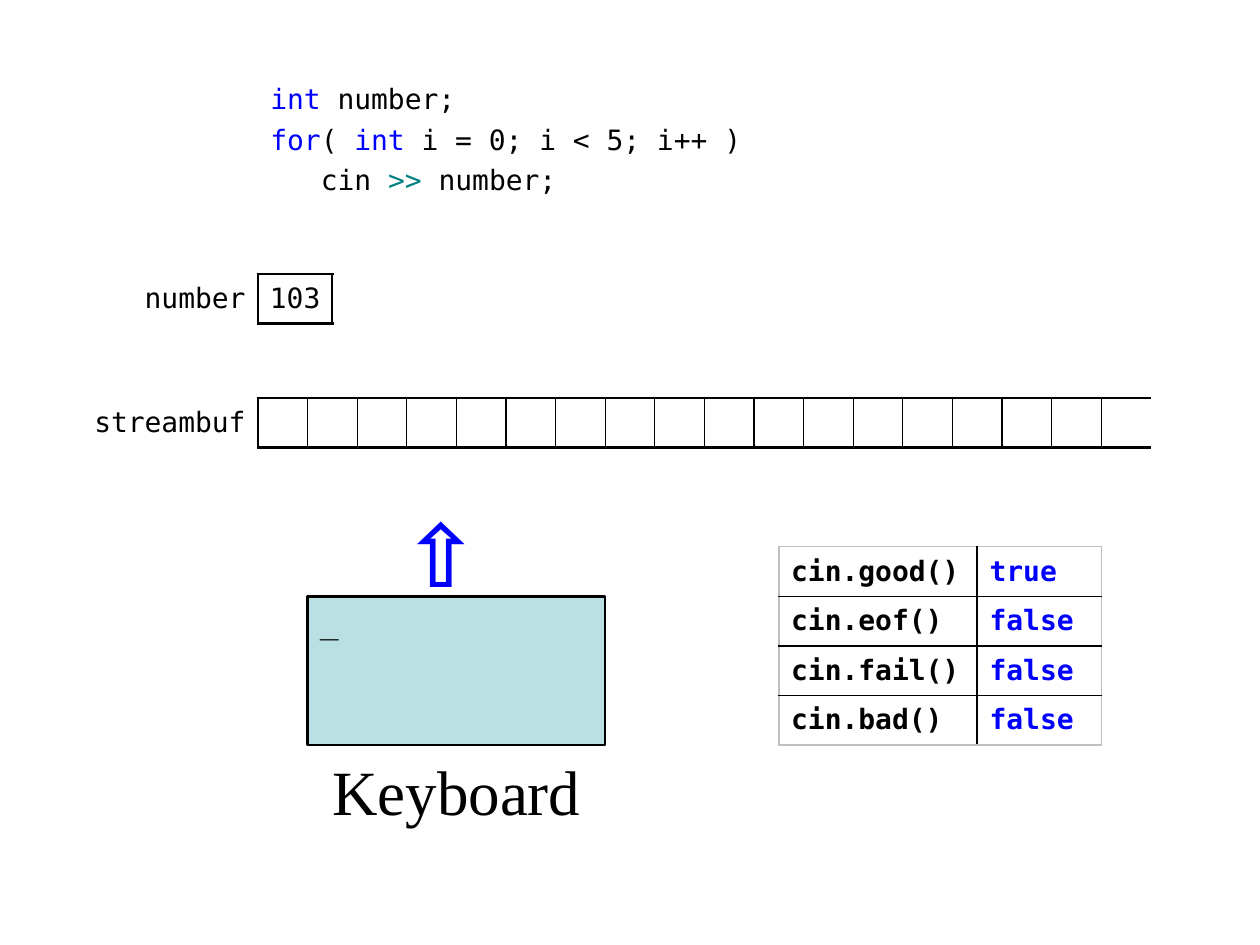
import pptx
import pptx.dml.color
import pptx.enum.shapes
import pptx.enum.text
import pptx.oxml
import pptx.oxml.ns
import pptx.util

Cm = pptx.util.Cm
Pt = pptx.util.Pt
ALIGN = pptx.enum.text.PP_ALIGN
COLORS = {
    "text": "000000",
    "keyword": "0000FF",
    "operator": "008080",
    "screen": "BBE0E3",
    "frame": "BFBFBF",
}
MONO = "DejaVu Sans Mono"
SIDES = ("L", "R", "T", "B")
UNIT = 1
BUFFER_CELLS = 18
CODE = [
    (0, [("int", "keyword"), (" number;", "text")]),
    (0, [("for", "keyword"), ("( ", "text"), ("int", "keyword"),
         (" i = 0; i < 5; i++ )", "text")]),
    (1.02, [("cin ", "text"), (">>", "operator"), (" number;", "text")]),
]
STATES = [
    ("cin.good()", "true"),
    ("cin.eof()", "false"),
    ("cin.fail()", "false"),
    ("cin.bad()", "false"),
]


def rgb(color):
    return pptx.dml.color.RGBColor.from_string(COLORS[color])


def add_run(paragraph, text, color="text", size=16, font=MONO, bold=False):
    run = paragraph.add_run()
    run.text = text
    run.font.name = font
    run.font.size = Pt(size)
    run.font.bold = bold
    run.font.color.rgb = rgb(color)


def set_margins(target, left, top, right, bottom):
    target.margin_left, target.margin_top = Cm(left), Cm(top)
    target.margin_right, target.margin_bottom = Cm(right), Cm(bottom)


def add_text_box(slide, left, top, width, height):
    frame = slide.shapes.add_textbox(Cm(left), Cm(top), Cm(width), Cm(height)).text_frame
    frame.word_wrap = True
    return frame


def add_code(slide):
    frame = add_text_box(slide, 5.2, 1.52, 10, 2.5)
    for index, (indent, runs) in enumerate(CODE):
        paragraph = frame.paragraphs[0] if index == 0 else frame.add_paragraph()
        paragraph.space_before = Pt(4)
        paragraph._p.get_or_add_pPr().set("marL", str(Cm(indent)))
        for text, color in runs:
            add_run(paragraph, text, color)


def add_plain_table(slide, left, top, widths, rows):
    shape = slide.shapes.add_table(
        rows, len(widths), Cm(left), Cm(top), Cm(sum(widths)), Cm(rows * UNIT))
    table = shape.table
    table.first_row = False
    table.horz_banding = False
    for column, width in zip(table.columns, widths):
        column.width = Cm(width)
    for row in table.rows:
        row.height = Cm(UNIT)
    return table


def set_borders(cell, borders):
    properties = cell._tc.get_or_add_tcPr()
    for position, side in enumerate(SIDES):
        width, color = borders.get(side, (0, None))
        paint = (f'<a:solidFill><a:srgbClr val="{COLORS[color]}"/></a:solidFill>'
                 if color else "<a:noFill/>")
        line = pptx.oxml.parse_xml(
            f'<a:ln{side} {pptx.oxml.ns.nsdecls("a")} w="{Pt(width)}">{paint}</a:ln{side}>')
        properties.insert(position, line)


def fill_cell(cell, text, borders, color="text", align=ALIGN.LEFT,
              margins=(0, 0, 0, 0), bold=False):
    cell.fill.background()
    cell.vertical_anchor = pptx.enum.text.MSO_ANCHOR.MIDDLE
    set_margins(cell, *margins)
    set_borders(cell, borders)
    if text:
        paragraph = cell.text_frame.paragraphs[0]
        paragraph.alignment = align
        add_run(paragraph, text, color, bold=bold)


def add_labelled_row(slide, left, top, label, label_width, cell_widths, texts, closed):
    table = add_plain_table(slide, left, top, [label_width] + cell_widths, 1)
    thick, thin = (1.5, "text"), (0.75, "text")
    fill_cell(table.cell(0, 0), label, {"R": thick}, align=ALIGN.RIGHT,
              margins=(0, 0, 0.25, 0))
    last = len(texts)
    for column, text in enumerate(texts, start=1):
        borders = {"T": thick, "B": thick, "L": thick if column == 1 else thin}
        if column < last:
            borders["R"] = thin
        elif closed:
            borders["R"] = thick
        fill_cell(table.cell(0, column), text, borders, align=ALIGN.CENTER)


def add_states(slide):
    table = add_plain_table(slide, 15.7, 11.02, [4, 2.5], len(STATES))
    inner, outer = (1, "text"), (1, "frame")
    for row, state in enumerate(STATES):
        for column, text in enumerate(state):
            borders = {
                "L": inner if column else outer,
                "R": outer if column else inner,
                "T": inner if row else outer,
                "B": inner if row < len(STATES) - 1 else outer,
            }
            fill_cell(table.cell(row, column), text, borders,
                      "keyword" if column else "text",
                      margins=(0.25, 0.1, 0.25, 0.1), bold=True)


def add_keyboard(slide):
    screen = slide.shapes.add_shape(
        pptx.enum.shapes.MSO_SHAPE.RECTANGLE, Cm(6.2), Cm(12.02), Cm(6), Cm(3))
    screen.shadow.inherit = False
    screen.fill.solid()
    screen.fill.fore_color.rgb = rgb("screen")
    screen.line.color.rgb = rgb("text")
    screen.line.width = Pt(1.5)
    frame = screen.text_frame
    frame.vertical_anchor = pptx.enum.text.MSO_ANCHOR.TOP
    frame.paragraphs[0].alignment = ALIGN.LEFT
    add_run(frame.paragraphs[0], "_", size=18)

    arrow = add_text_box(slide, 8.2, 9.52, 2, 2.5)
    set_margins(arrow, 0, 0, 0, 0)
    add_run(arrow.paragraphs[0], "⇧", "keyword", 66, "Courier New", True)

    caption = add_text_box(slide, 5.7, 15.04, 7, 2.5).paragraphs[0]
    caption.alignment = ALIGN.CENTER
    add_run(caption, "Keyboard", size=36, font="Times New Roman")


def main():
    presentation = pptx.Presentation()
    presentation.slide_width = Cm(25.4)
    presentation.slide_height = Cm(19.05)
    slide = presentation.slides.add_slide(presentation.slide_layouts[6])
    add_code(slide)
    add_labelled_row(slide, 2.7, 5.52, "number", 2.5, [1.5], ["103"], True)
    add_labelled_row(slide, 1.7, 8.02, "streambuf", 3.5, [UNIT] * BUFFER_CELLS,
                     [""] * BUFFER_CELLS, False)
    add_keyboard(slide)
    add_states(slide)
    presentation.save("out.pptx")


if __name__ == "__main__":
    main()
